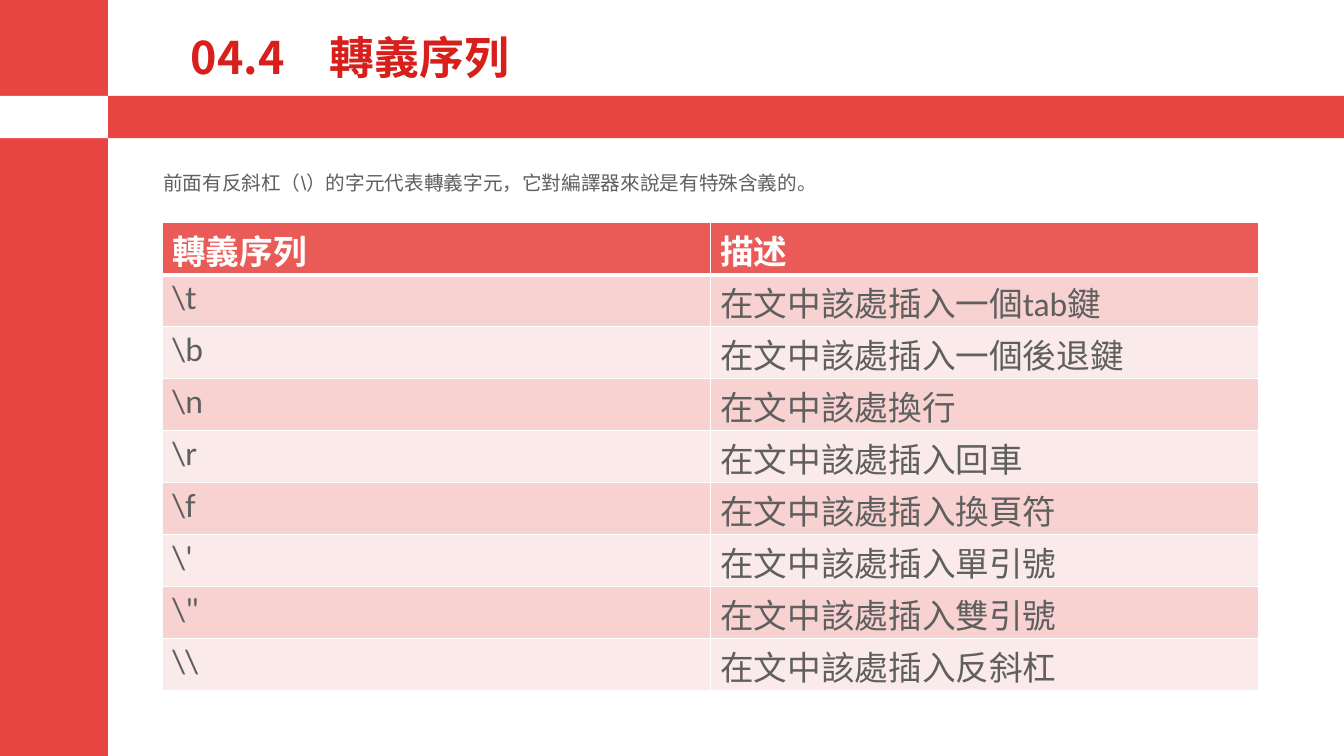
from lxml import etree
from pptx import Presentation
from pptx.dml.color import RGBColor
from pptx.enum import shapes, text
from pptx.oxml import ns
from pptx.util import Inches, Pt

RED = RGBColor(0xE7, 0x45, 0x41)
TITLE_RED = RGBColor(0xD7, 0x1F, 0x1B)
HEADER_RED = RGBColor(0xEA, 0x5B, 0x58)
ROW_DARK = RGBColor(0xF7, 0xD2, 0xD1)
ROW_LIGHT = RGBColor(0xFB, 0xEA, 0xEA)
GREY = RGBColor(0x5F, 0x5F, 0x5F)
WHITE = RGBColor(0xFF, 0xFF, 0xFF)
CJK_FONT = "Noto Sans CJK SC"


def write(frame, words, size, font, color, bold=False, spacing=None):
    frame.word_wrap = True
    para = frame.paragraphs[0]
    para.line_spacing = spacing
    span = para.add_run()
    span.text = words
    span.font.size = Pt(size)
    span.font.name = font
    span.font.bold = bold
    span.font.color.rgb = color
    east_asian = etree.SubElement(span.font._element, ns.qn("a:ea"))
    east_asian.set("typeface", CJK_FONT)


def add_border(cell, side, width):
    line = etree.SubElement(cell._tc.get_or_add_tcPr(), ns.qn("a:" + side), w=str(Pt(width)))
    fill = etree.SubElement(line, ns.qn("a:solidFill"))
    etree.SubElement(fill, ns.qn("a:srgbClr"), val=str(WHITE))


deck = Presentation()
deck.slide_width = Inches(13.33)
deck.slide_height = Inches(7.5)
page = deck.slides.add_slide(deck.slide_layouts[6])

# Red side bar and band, with a white crossing
for left, top, width, height, color in [
    (0, -0.03, 1.07, 7.53, RED),
    (0, 0.95, 13.33, 0.42, RED),
    (0, 0.95, 1.07, 0.42, WHITE),
]:
    bar = page.shapes.add_shape(shapes.MSO_SHAPE.RECTANGLE, Inches(left), Inches(top),
                                Inches(width), Inches(height))
    bar.shadow.inherit = False
    bar.fill.solid()
    bar.fill.fore_color.rgb = color
    bar.line.fill.background()

# Title
title = page.shapes.add_textbox(Inches(1.35), Inches(0.11), Inches(11.51), Inches(0.77))
title.text_frame.vertical_anchor = text.MSO_ANCHOR.BOTTOM
write(title.text_frame, "　04.4　轉義序列", 32, CJK_FONT, TITLE_RED, bold=True, spacing=0.9)

# Introduction
intro = page.shapes.add_textbox(Inches(1.52), Inches(1.58), Inches(11.41), Inches(0.41))
write(intro.text_frame, "前面有反斜杠（\\）的字元代表轉義字元，它對編譯器來說是有特殊含義的。",
      14, "Arial", GREY, spacing=1.3)

# Table of escape sequences
rows = [
    ("轉義序列", "描述"),
    ("\\t", "在文中該處插入一個tab鍵"),
    ("\\b", "在文中該處插入一個後退鍵"),
    ("\\n", "在文中該處換行"),
    ("\\r", "在文中該處插入回車"),
    ("\\f", "在文中該處插入換頁符"),
    ("\\'", "在文中該處插入單引號"),
    ("\\\"", "在文中該處插入雙引號"),
    ("\\\\", "在文中該處插入反斜杠"),
]
table = page.shapes.add_table(len(rows), 2, Inches(1.61), Inches(2.21),
                              Inches(10.87), Inches(4.64)).table
for row_index, row in enumerate(rows):
    is_header = row_index == 0
    if is_header:
        row_color = HEADER_RED
    else:
        row_color = ROW_DARK if row_index % 2 else ROW_LIGHT
    for column_index, words in enumerate(row):
        cell = table.cell(row_index, column_index)
        cell.margin_top = Inches(0.03)
        cell.margin_bottom = 0
        write(cell.text_frame, words, 24, "Calibri", WHITE if is_header else GREY, bold=is_header)
        for side in ("lnL", "lnR", "lnT", "lnB"):
            under_header = (row_index, side) in [(0, "lnB"), (1, "lnT")]
            add_border(cell, side, 3 if under_header else 1)
        cell.fill.solid()
        cell.fill.fore_color.rgb = row_color

deck.save("out.pptx")
